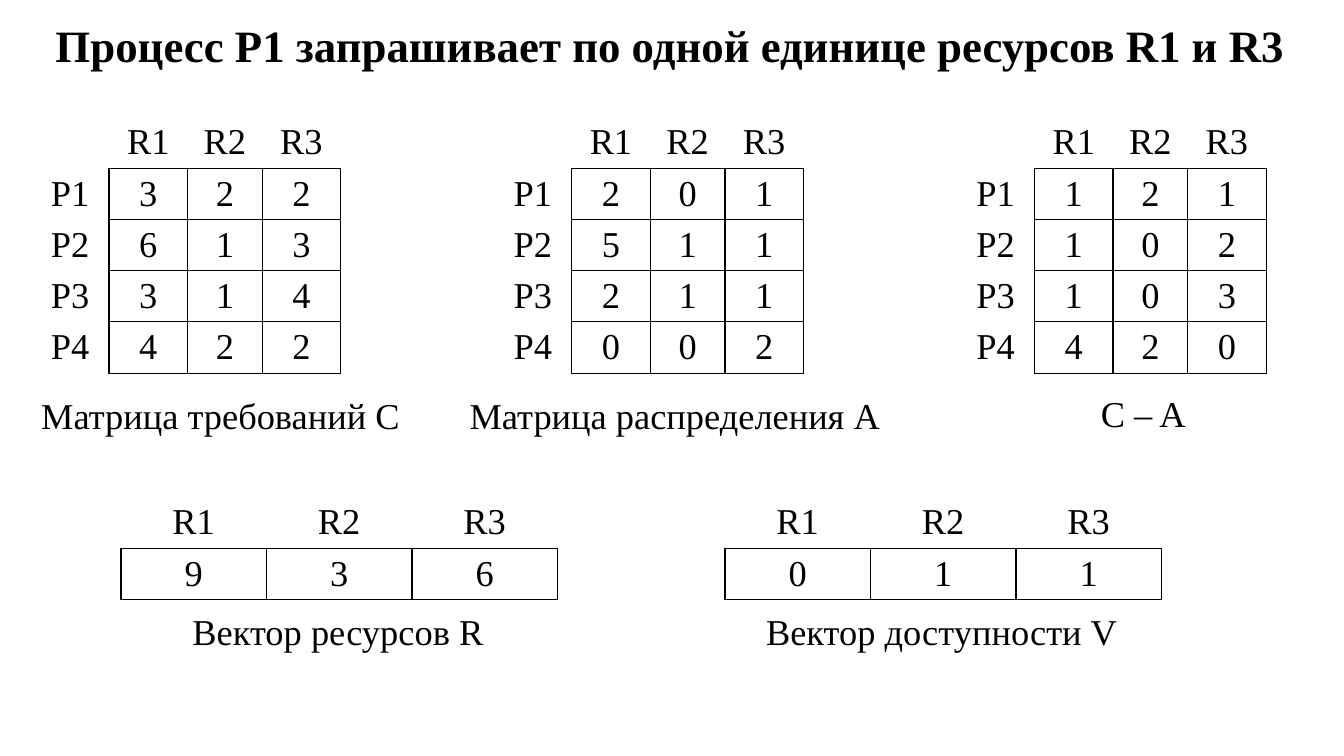
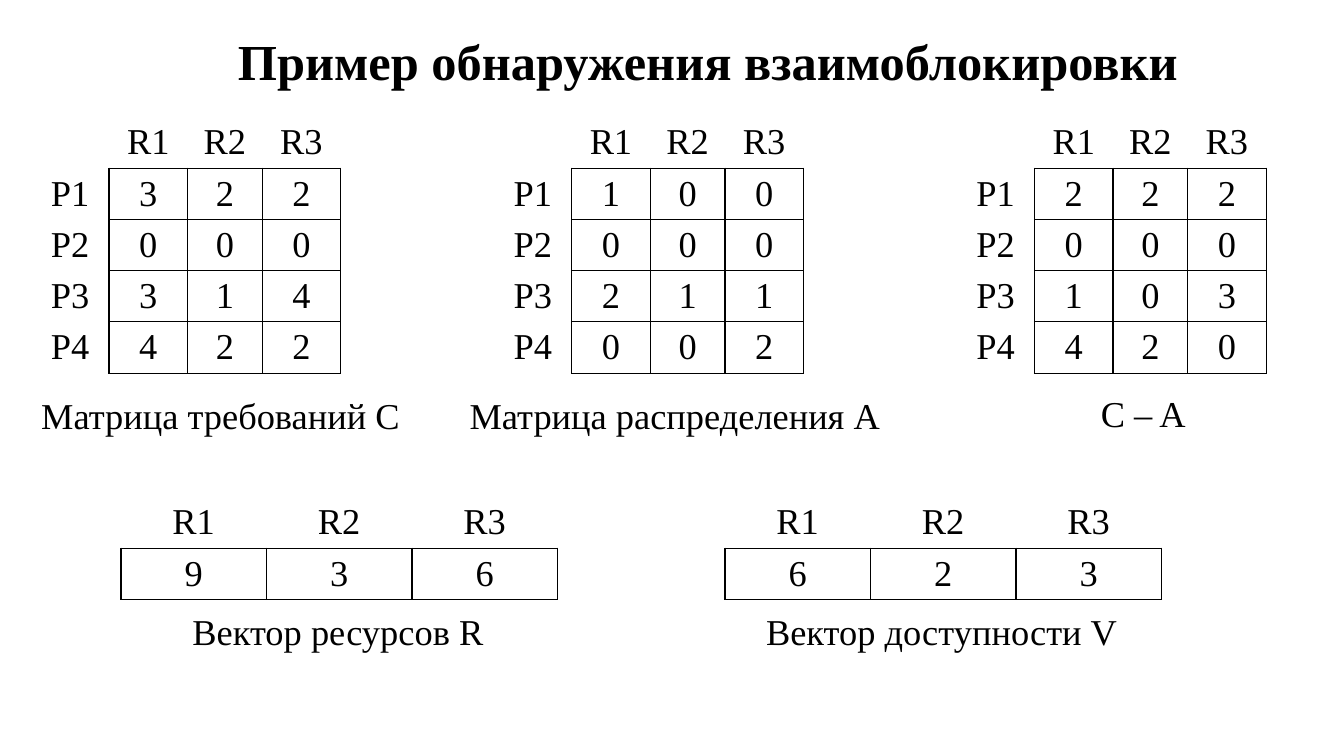
import dataclasses
import typing

import pptx
import pptx.dml.color
import pptx.enum.text
import pptx.oxml
import pptx.oxml.ns
import pptx.presentation
import pptx.slide
import pptx.table
import pptx.text.text
import pptx.util

BLACK = pptx.dml.color.RGBColor(0x00, 0x00, 0x00)
FONT_NAME = "Times New Roman"
BODY_SIZE = 26
BORDER_WIDTH = 1

SLIDE_WIDTH = pptx.util.Inches(13.33)
SLIDE_HEIGHT = pptx.util.Inches(7.5)
TITLE_ONLY_LAYOUT = 5

RESOURCES = ["R1", "R2", "R3"]
PROCESSES = ["P1", "P2", "P3", "P4"]

MATRIX_LEFT = 2.33
MATRIX_STEP = 34.43
MATRIX_TOP = 15.47
MATRIX_COLUMNS = [5.78, 5.85, 5.55, 5.85]
VECTOR_TOP = 65.73
VECTOR_COLUMNS = [10.83] * len(RESOURCES)
ROW_HEIGHT = 6.67
CELL_MARGIN = 0.5

NEIGHBOURS = {"L": (0, -1), "R": (0, 1), "T": (-1, 0), "B": (1, 0)}

Numbers = list[int]
Matrix = list[Numbers]


@dataclasses.dataclass(frozen=True)
class Box:
    """Position and size in percent of the slide."""

    left: float
    top: float
    width: float
    height: float


@dataclasses.dataclass(frozen=True)
class Caption:
    text: str
    box: Box


@dataclasses.dataclass(frozen=True)
class Grid:
    left: float
    top: float
    columns: list[float]
    rows: list[list[str]]
    label_columns: int


@dataclasses.dataclass(frozen=True)
class AllocationState:
    title: str
    title_size: int
    title_box: Box
    claims: Matrix
    allocation: Matrix
    resources: Numbers


CAPTIONS = [
    Caption("Матрица требований C", Box(2.33, 51.33, 28.43, 7.2)),
    Caption("Матрица распределения A", Box(34.2, 51.33, 32.18, 7.2)),
    Caption("C – A", Box(81.17, 51.07, 7.88, 7.2)),
    Caption("Вектор ресурсов R", Box(13.58, 79.87, 23.33, 7.2)),
    Caption("Вектор доступности V", Box(56.26, 79.87, 27.83, 7.2)),
]

STATES = [
    AllocationState(
        title="Процесс P1 запрашивает по одной единице ресурсов R1 и R3",
        title_size=32,
        title_box=Box(3.38, 1.73, 93.85, 8.53),
        claims=[[3, 2, 2], [6, 1, 3], [3, 1, 4], [4, 2, 2]],
        allocation=[[2, 0, 1], [5, 1, 1], [2, 1, 1], [0, 0, 2]],
        resources=[9, 3, 6],
    ),
    AllocationState(
        title="Пример обнаружения взаимоблокировки",
        title_size=36,
        title_box=Box(16.95, 3.33, 72.17, 9.47),
        claims=[[3, 2, 2], [0, 0, 0], [3, 1, 4], [4, 2, 2]],
        allocation=[[1, 0, 0], [0, 0, 0], [2, 1, 1], [0, 0, 2]],
        resources=[9, 3, 6],
    ),
]


def across(percent: float) -> int:
    return round(SLIDE_WIDTH * percent / 100)


def down(percent: float) -> int:
    return round(SLIDE_HEIGHT * percent / 100)


def apply_format(target: typing.Any, values: dict[str, typing.Any]) -> None:
    for name, value in values.items():
        setattr(target, name, value)


def write_text(
    frame: pptx.text.text.TextFrame,
    text: str,
    alignment: pptx.enum.text.PP_ALIGN,
    size: int = BODY_SIZE,
    bold: bool = False,
) -> None:
    paragraph = frame.paragraphs[0]
    paragraph.alignment = alignment
    run = paragraph.add_run()
    run.text = text
    apply_format(run.font, {"name": FONT_NAME, "size": pptx.util.Pt(size), "bold": bold})
    run.font.color.rgb = BLACK


def format_label(shape: typing.Any, box: Box) -> None:
    apply_format(shape, {
        "left": across(box.left),
        "top": down(box.top),
        "width": across(box.width),
        "height": down(box.height),
    })
    apply_format(shape.text_frame, {
        "word_wrap": False,
        "auto_size": pptx.enum.text.MSO_AUTO_SIZE.SHAPE_TO_FIT_TEXT,
        "vertical_anchor": pptx.enum.text.MSO_ANCHOR.TOP,
    })


def border_element(side: str, visible: bool) -> typing.Any:
    paint = f'<a:solidFill><a:srgbClr val="{BLACK}"/></a:solidFill>' if visible else "<a:noFill/>"
    return pptx.oxml.parse_xml(
        f'<a:ln{side} {pptx.oxml.ns.nsdecls("a")} w="{pptx.util.Pt(BORDER_WIDTH)}">'
        f"{paint}</a:ln{side}>"
    )


def format_cell(cell: pptx.table._Cell, row: int, column: int, label_columns: int) -> None:
    def is_boxed(row_index: int, column_index: int) -> bool:
        return row_index >= 1 and column_index >= label_columns

    apply_format(cell, {
        "margin_top": down(CELL_MARGIN),
        "margin_bottom": down(CELL_MARGIN),
        "vertical_anchor": pptx.enum.text.MSO_ANCHOR.MIDDLE,
    })
    cell.fill.background()
    properties = cell._tc.get_or_add_tcPr()
    for index, (side, (row_step, column_step)) in enumerate(NEIGHBOURS.items()):
        visible = is_boxed(row, column) or is_boxed(row + row_step, column + column_step)
        properties.insert(index, border_element(side, visible))


def add_grid(slide: pptx.slide.Slide, grid: Grid) -> None:
    table = slide.shapes.add_table(
        len(grid.rows),
        len(grid.columns),
        across(grid.left),
        down(grid.top),
        across(sum(grid.columns)),
        down(ROW_HEIGHT * len(grid.rows)),
    ).table
    apply_format(table, {"first_row": False, "horz_banding": False})
    for column, width in zip(table.columns, grid.columns):
        column.width = across(width)
    for row_index, texts in enumerate(grid.rows):
        table.rows[row_index].height = down(ROW_HEIGHT)
        for column_index, text in enumerate(texts):
            cell = table.cell(row_index, column_index)
            format_cell(cell, row_index, column_index, grid.label_columns)
            if text:
                write_text(cell.text_frame, text, pptx.enum.text.PP_ALIGN.CENTER)


def matrix_grid(position: int, matrix: Matrix) -> Grid:
    rows = [["", *RESOURCES]]
    rows += [[process, *map(str, numbers)] for process, numbers in zip(PROCESSES, matrix)]
    left = MATRIX_LEFT + position * MATRIX_STEP
    return Grid(left, MATRIX_TOP, MATRIX_COLUMNS, rows, label_columns=1)


def vector_grid(left: float, vector: Numbers) -> Grid:
    rows = [RESOURCES, [str(number) for number in vector]]
    return Grid(left, VECTOR_TOP, VECTOR_COLUMNS, rows, label_columns=0)


def subtract(first: Numbers, second: Numbers) -> Numbers:
    return [minuend - subtrahend for minuend, subtrahend in zip(first, second)]


def add_state_slide(presentation: pptx.presentation.Presentation, state: AllocationState) -> None:
    slide = presentation.slides.add_slide(presentation.slide_layouts[TITLE_ONLY_LAYOUT])
    title = slide.shapes.title
    format_label(title, state.title_box)
    write_text(
        title.text_frame, state.title, pptx.enum.text.PP_ALIGN.LEFT, state.title_size, bold=True
    )

    remaining = [subtract(*rows) for rows in zip(state.claims, state.allocation)]
    allocated = [sum(column) for column in zip(*state.allocation)]
    available = subtract(state.resources, allocated)

    for position, matrix in enumerate([state.claims, state.allocation, remaining]):
        add_grid(slide, matrix_grid(position, matrix))
    for left, vector in [(9, state.resources), (53.94, available)]:
        add_grid(slide, vector_grid(left, vector))

    for caption in CAPTIONS:
        text_box = slide.shapes.add_textbox(0, 0, 0, 0)
        format_label(text_box, caption.box)
        write_text(text_box.text_frame, caption.text, pptx.enum.text.PP_ALIGN.LEFT)


def main() -> None:
    presentation = pptx.Presentation()
    apply_format(presentation, {"slide_width": SLIDE_WIDTH, "slide_height": SLIDE_HEIGHT})
    for state in STATES:
        add_state_slide(presentation, state)
    presentation.save("out.pptx")


if __name__ == "__main__":
    main()
